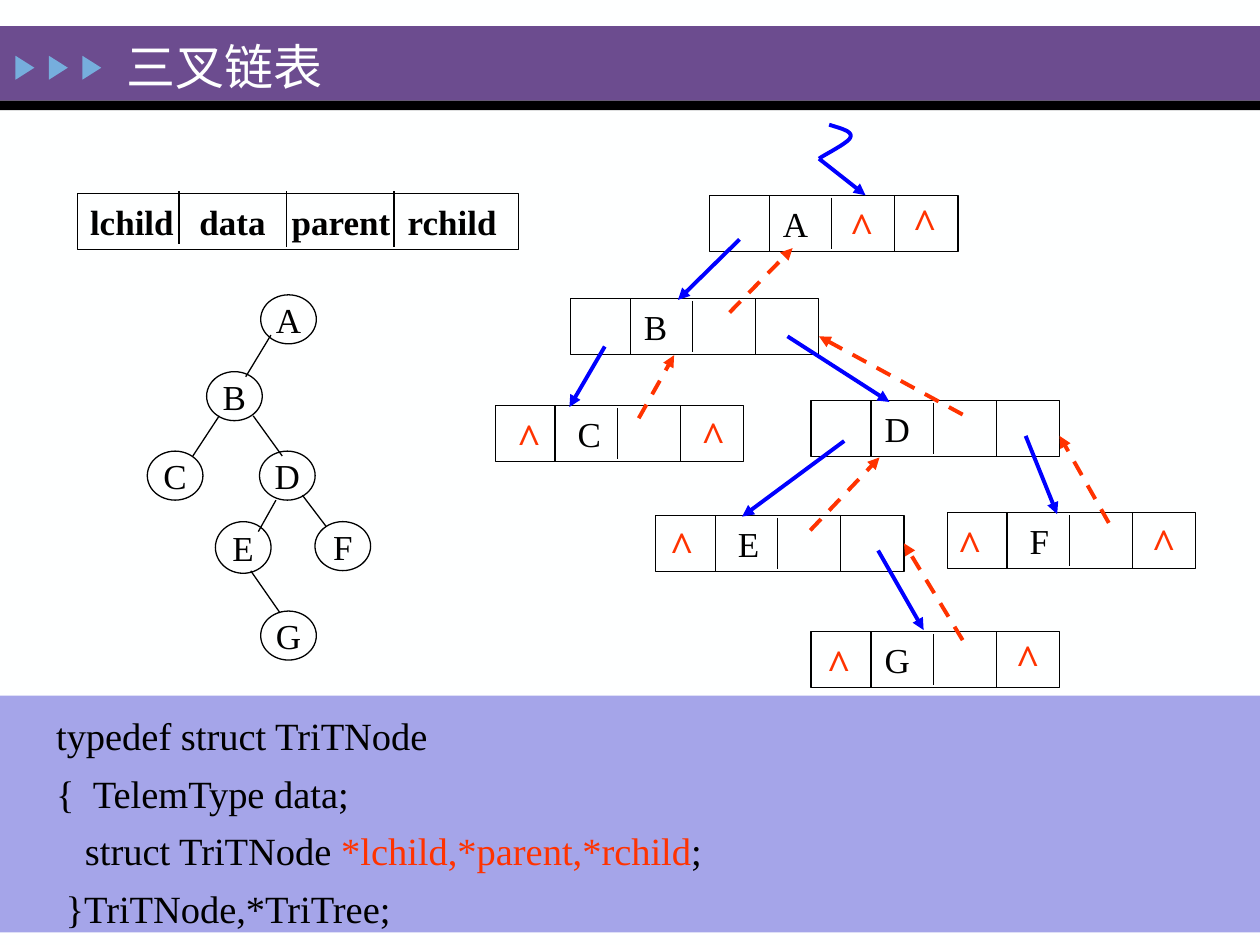
from lxml.etree import SubElement
from pptx import Presentation
from pptx.dml.color import RGBColor
from pptx.enum.dml import MSO_LINE
from pptx.enum.shapes import MSO_CONNECTOR, MSO_SHAPE
from pptx.enum.text import MSO_ANCHOR, PP_ALIGN
from pptx.oxml.ns import qn
from pptx.util import Pt

BLACK = RGBColor(0x00, 0x00, 0x00)
WHITE = RGBColor(0xFE, 0xFF, 0xFF)
PURPLE = RGBColor(0x6C, 0x4C, 0x8F)
SKY = RGBColor(0x76, 0xAE, 0xDD)
LILAC = RGBColor(0xA5, 0xA5, 0xE9)
BLUE = RGBColor(0x00, 0x00, 0xFF)
RED = RGBColor(0xFF, 0x33, 0x00)

NODE_WIDTH, NODE_HEIGHT = 142, 32
CELL_EDGES = (34.2, 69.9, 105.8)
RIGHT_SIDE = 3

# Tree circles: letter -> left, top, height
CIRCLES = {
    "A": (149, 168.5, 28), "B": (118.1, 212.4, 28), "C": (84.2, 257.8, 28),
    "D": (148.3, 257.8, 28), "E": (123.1, 298.1, 29.5),
    "F": (180, 298.1, 28), "G": (149, 349.2, 28),
}
EDGES = [
    (154.8, 191.5, 140.4, 215.3), (125.3, 237.6, 110.2, 260.6),
    (144.7, 237.6, 161.3, 260.6), (157.7, 285.8, 147.6, 303.8),
    (172.8, 283, 186.5, 301), (143.3, 326.2, 159.8, 349.9),
]
# List nodes: letter -> left, top, letter inset, offsets of the null marks
NODES = {
    "A": (405.4, 111.6, 42, [(72.7, -0.7), (108.7, -2.9)]),
    "B": (325.9, 170.6, 42, []),
    "C": (283, 231.8, 47, [(5, 0), (110.2, -1.4)]),
    "D": (463.5, 229, 42, []),
    "E": (374.6, 294.5, 47, [(0.7, -1.4)]),
    "F": (541.3, 293, 47, [(-1.4, 0), (109.4, -1.4)]),
    "G": (463.5, 360.9, 42, [(1.4, 0), (109.4, -2.9)]),
}
CHILD_POINTERS = [
    (422.6, 136.8, 387.4, 171.4), (345.6, 198, 325.4, 232.6),
    (482.4, 252, 424.1, 295.2), (450, 192.2, 508.3, 229.7),
    (586.1, 249.1, 604.1, 293.8), (501.8, 314.6, 527.8, 360),
    (468, 90.7, 494.6, 111.6),
]
PARENT_POINTERS = [
    (416.9, 178.6, 452.9, 141.8), (365, 239, 385.2, 203),
    (550.1, 236.9, 468, 192.2), (463, 303.1, 502.6, 261.4),
    (633.6, 298.8, 605.5, 249.1),
]
ROOT_CURVES = [
    [(473.8, 71.3), (480.2, 73.4), (487.4, 74.9), (486, 78.5)],
    [(486, 78.5), (485.3, 81.4), (470.9, 88.6), (468, 90.7)],
]
# Code lines: left indent, coloured pieces
CODE = [
    (0, [("typedef struct TriTNode", BLACK)]),
    (0, [("{\tTelemType data;", BLACK)]),
    (16.5, [("struct TriTNode ", BLACK), ("*lchild,*parent,*rchild", RED),
            (";", BLACK)]),
    (5.5, [("}TriTNode,*TriTree;", BLACK)]),
]


def bezier_points(curve, steps=10):
    for step in range(1, steps + 1):
        t = step / steps
        weights = ((1 - t) ** 3, 3 * t * (1 - t) ** 2, 3 * t * t * (1 - t), t ** 3)
        yield tuple(Pt(sum(w * point[axis] for w, point in zip(weights, curve)))
                    for axis in (0, 1))


def set_tabs(para, stops):
    tabs = SubElement(para._p.get_or_add_pPr(), qn("a:tabLst"))
    for stop in stops:
        SubElement(tabs, qn("a:tab"), pos=str(Pt(stop)), algn="l")


class Painter:
    font_name = "Times New Roman"

    def __init__(self, page):
        self.page = page

    def style(self, para, size, color, bold=False, align=PP_ALIGN.LEFT):
        para.alignment = align
        para.font.name, para.font.size = self.font_name, Pt(size)
        para.font.bold, para.font.color.rgb = bold, color

    def title(self, text, left, top, width, height):
        box = self.page.shapes.title
        box.left, box.top, box.width, box.height = map(Pt, (left, top, width, height))
        box.text_frame.text = text
        box.text_frame.vertical_anchor = MSO_ANCHOR.MIDDLE
        self.style(box.text_frame.paragraphs[0], 28, WHITE)
        box.element.getparent().append(box.element)  # in front of the band

    def shape(self, kind, left, top, width, height, fill=None):
        box = self.page.shapes.add_shape(kind, *map(Pt, (left, top, width, height)))
        box.shadow.inherit = False
        if fill is None:
            box.fill.background()
            box.line.color.rgb, box.line.width = BLACK, Pt(0.75)
        else:
            box.fill.solid()
            box.fill.fore_color.rgb = fill
            box.line.fill.background()
        return box

    def label(self, box, text, size=20, color=BLACK, bold=False,
              align=PP_ALIGN.LEFT, inset=7.2):
        frame = box.text_frame
        frame.text, frame.word_wrap = text, False
        frame.vertical_anchor = MSO_ANCHOR.MIDDLE
        frame.margin_left = Pt(inset)
        self.style(frame.paragraphs[0], size, color, bold, align)
        return frame.paragraphs[0]

    def text_box(self, left, top, width, height):
        return self.page.shapes.add_textbox(*map(Pt, (left, top, width, height)))

    def line(self, ends, color=BLACK, width=0.75, arrow=False, dashed=False):
        line = self.page.shapes.add_connector(MSO_CONNECTOR.STRAIGHT, *map(Pt, ends))
        line.line.color.rgb, line.line.width = color, Pt(width)
        if dashed:
            line.line.dash_style = MSO_LINE.DASH
        if arrow:
            SubElement(line.line._get_or_add_ln(), qn("a:tailEnd"), type="triangle")
        SubElement(line._element.spPr, qn("a:effectLst"))
        return line

    def list_node(self, letter, left, top, inset):
        box = self.shape(MSO_SHAPE.RECTANGLE, left, top, NODE_WIDTH, NODE_HEIGHT)
        self.label(box, letter, inset=inset)
        for edge, gap in zip(CELL_EDGES, (0, 1.4, 0)):
            x = left + edge
            self.line((x, top + gap, x, top + NODE_HEIGHT - gap))
        return box

    def curve(self, curves, color, width):
        start = map(Pt, curves[0][0])
        builder = self.page.shapes.build_freeform(*start)
        for curve in curves:
            builder.add_line_segments(list(bezier_points(curve)), close=False)
        path = builder.convert_to_shape()
        path.shadow.inherit = False
        path.fill.background()
        path.line.color.rgb, path.line.width = color, Pt(width)

    def code(self, lines, left, top, width, height):
        frame = self.text_box(left, top, width, height).text_frame
        frame.word_wrap = True
        for number, (indent, pieces) in enumerate(lines):
            para = frame.add_paragraph() if number else frame.paragraphs[0]
            self.style(para, 22, BLACK)
            para.line_spacing = Pt(33)
            para._p.get_or_add_pPr().set("marL", str(Pt(indent)))
            for text, color in pieces:
                span = para.add_run()
                span.text, span.font.color.rgb = text, color
                if "\t" in text:
                    set_tabs(para, [21])


def main():
    deck = Presentation()
    deck.slide_width, deck.slide_height = Pt(720), Pt(540)
    page = deck.slides.add_slide(deck.slide_layouts[5])
    page.background.fill.solid()
    page.background.fill.fore_color.rgb = WHITE
    painter = Painter(page)

    # Header band, code panel and title
    painter.shape(MSO_SHAPE.RECTANGLE, 0, 15, 720, 42.5, PURPLE)
    painter.shape(MSO_SHAPE.RECTANGLE, 0, 57.5, 720, 5.5, BLACK)
    for index in range(3):
        mark = painter.shape(MSO_SHAPE.ISOSCELES_TRIANGLE,
                             7.4 + 19.1 * index, 33.3, 13.7, 10.8, SKY)
        mark.rotation = 90
    painter.shape(MSO_SHAPE.RECTANGLE, 0, 397.6, 720, 135.2, LILAC)
    painter.title("三叉链表", 65, 17.5, 251, 40)

    # Binary tree
    for letter, (left, top, height) in CIRCLES.items():
        circle = painter.shape(MSO_SHAPE.OVAL, left, top, 31.8, height)
        painter.label(circle, letter, align=PP_ALIGN.CENTER)
    for edge in EDGES:
        painter.line(edge)

    # Linked nodes and their pointers
    boxes = {letter: painter.list_node(letter, left, top, inset)
             for letter, (left, top, inset, _) in NODES.items()}
    for ends in CHILD_POINTERS:
        painter.line(ends, BLUE, 2.25, arrow=True)
    for ends in PARENT_POINTERS:
        painter.line(ends, RED, 2.25, arrow=True, dashed=True)
    g_parent = painter.line((550.1, 365.8, 517, 311), RED, 2.25, True, True)
    g_parent.end_connect(boxes["E"], RIGHT_SIDE)
    painter.curve(ROOT_CURVES, BLUE, 2.25)
    for left, top, _, nulls in NODES.values():
        for dx, dy in nulls:
            null = painter.text_box(left + dx, top + dy, 28.8, 36)
            painter.label(null, "^", 24, RED, True, PP_ALIGN.CENTER)

    # Node layout
    record = painter.shape(MSO_SHAPE.RECTANGLE, 44.4, 110.4, 252, 32)
    fields = painter.label(record, "lchild\tdata\tparent\trchild", bold=True)
    set_tabs(fields, [62.5, 115.2, 181.5])
    for x, bottom in ((102.3, 139.7), (163.6, 141), (225.2, 141)):
        painter.line((x, 109.3, x, bottom))

    # Type definition
    painter.code(CODE, 25, 396.7, 681, 140.4)
    deck.save("out.pptx")


if __name__ == "__main__":
    main()
